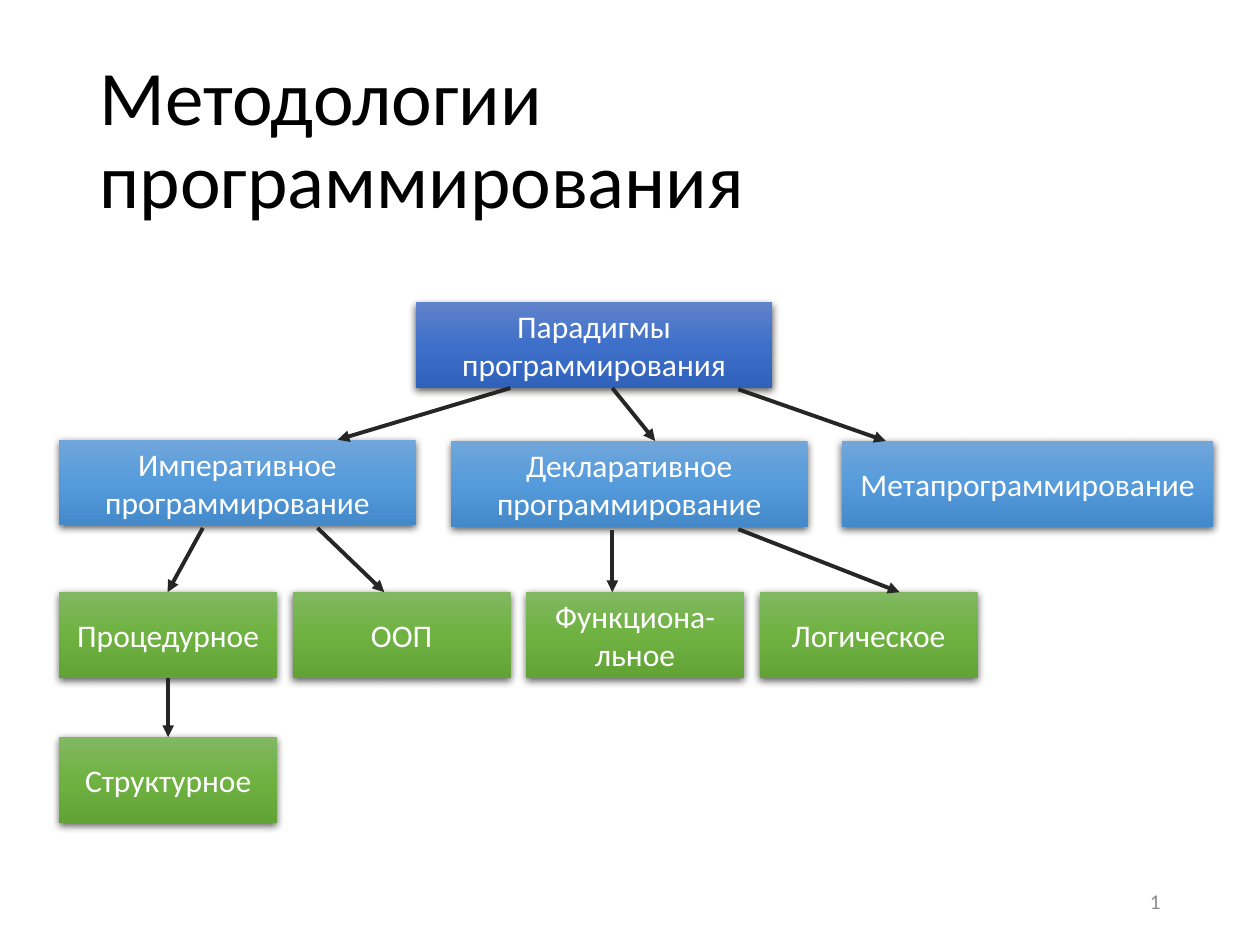
from pptx import Presentation
from pptx.dml.color import RGBColor
from pptx.enum.shapes import MSO_CONNECTOR, MSO_SHAPE
from pptx.enum.text import MSO_ANCHOR, MSO_AUTO_SIZE, PP_ALIGN
from pptx.oxml import parse_xml
from pptx.oxml.ns import nsdecls
from pptx.util import Inches, Pt

RECTANGLE = MSO_SHAPE.RECTANGLE
STRAIGHT = MSO_CONNECTOR.STRAIGHT
MIDDLE = MSO_ANCHOR.MIDDLE
LEFT, CENTER, RIGHT = PP_ALIGN.LEFT, PP_ALIGN.CENTER, PP_ALIGN.RIGHT
TOP_SITE, BOTTOM_SITE = 0, 2

FONT = "Calibri"
TITLE = "Методологии программирования"
SLIDE_NUMBER = "1"

BLUE = ("6183CB", "3E70CA", "3062BB")
SKY = ("71A6DB", "559BDB", "448ACA")
GREEN = ("81B861", "6FB242", "62A336")

BOX_HEIGHT = 0.68
WIDE, NARROW = 2.83, 1.73
MARGIN, LEAF_STEP = 0.47, 1.853
LEAF_TOP = 4.7

PARADIGMS = [
    ("root", "Парадигмы программирования", 3.3, 2.4, WIDE, BLUE),
    ("imperative", "Императивное программирование", MARGIN, 3.49, WIDE, SKY),
    ("declarative", "Декларативное программирование", 3.58, 3.5, WIDE, SKY),
    ("meta", "Метапрограммирование", 6.68, 3.5, 2.95, SKY),
    ("structured", "Структурное", MARGIN, 5.85, NARROW, GREEN),
]
LEAVES = [
    ("procedural", "Процедурное"),
    ("object", "ООП"),
    ("functional", "Функциона-льное"),
    ("logic", "Логическое"),
]
PARADIGMS += [
    (key, text, MARGIN + column * LEAF_STEP, LEAF_TOP, NARROW, GREEN)
    for column, (key, text) in enumerate(LEAVES)
]

# (parent, child, start x, end x, gap below parent)
LINKS = [
    ("root", "imperative", 4.05, 2.68, 0),
    ("root", "declarative", 4.86, 5.2, 0),
    ("root", "meta", 5.86, 7.03, 0.01),
    ("imperative", "procedural", 1.61, 1.33, 0.02),
    ("imperative", "object", 2.52, 3.05, 0.02),
    ("declarative", "functional", 4.86, 4.86, 0.03),
    ("declarative", "logic", 5.86, 7.14, 0.02),
]
LINKS_BETWEEN_MIDDLES = [("procedural", "structured")]


def rgb(color):
    """Turn a hex string into a colour."""
    return RGBColor.from_string(color)


def write(shape, text, size, color, alignment):
    """Put one formatted paragraph into a shape."""
    frame = shape.text_frame
    frame.text = text
    frame.word_wrap = True
    frame.auto_size = MSO_AUTO_SIZE.NONE
    frame.vertical_anchor = MIDDLE
    paragraph = frame.paragraphs[0]
    paragraph.alignment = alignment
    font = paragraph.runs[0].font
    font.name, font.size = FONT, Pt(size)
    font.color.rgb = rgb(color)
    return paragraph


def add_box(slide, text, left, top, width, colors):
    """Add a gradient rectangle with a soft shadow."""
    shape = slide.shapes.add_shape(
        RECTANGLE, Inches(left), Inches(top), Inches(width), Inches(BOX_HEIGHT))
    shape.line.fill.background()
    stops = "".join(
        f'<a:gs pos="{index * 50000}"><a:srgbClr val="{color}"/></a:gs>'
        for index, color in enumerate(colors))
    properties = shape.element.spPr
    properties.insert(2, parse_xml(
        f'<a:gradFill {nsdecls("a")} rotWithShape="1"><a:gsLst>{stops}</a:gsLst>'
        '<a:lin ang="5400000" scaled="0"/></a:gradFill>'))
    properties.append(parse_xml(
        f'<a:effectLst {nsdecls("a")}><a:outerShdw blurRad="{Pt(4.5)}" '
        f'dist="{Pt(1.5)}" dir="5400000" algn="ctr" rotWithShape="0">'
        '<a:srgbClr val="000000"><a:alpha val="63000"/></a:srgbClr>'
        '</a:outerShdw></a:effectLst>'))
    write(shape, text, 18, "FFFFFF", CENTER)
    return shape


def add_arrow(slide, start_x, start_y, end_x, end_y):
    """Add a dark arrow between two points."""
    arrow = slide.shapes.add_connector(STRAIGHT, start_x, start_y, end_x, end_y)
    arrow.line.color.rgb = rgb("262626")
    arrow.line.width = Pt(2.25)
    arrow.line._get_or_add_ln().append(
        parse_xml(f'<a:tailEnd {nsdecls("a")} type="triangle"/>'))
    arrow.element.spPr.append(parse_xml(f'<a:effectLst {nsdecls("a")}/>'))
    return arrow


def main():
    """Build the slide of programming paradigms."""
    presentation = Presentation()
    presentation.slide_width, presentation.slide_height = Inches(10), Inches(7.5)
    slide = presentation.slides.add_slide(presentation.slide_layouts[5])

    title = slide.shapes.title
    title.left, title.top = Inches(0.69), Inches(0.4)
    title.width, title.height = Inches(8.62), Inches(1.45)
    write(title, TITLE, 44, "000000", LEFT).line_spacing = 0.9

    number = slide.shapes.add_textbox(
        Inches(7.06), Inches(6.95), Inches(2.25), Inches(0.4))
    write(number, SLIDE_NUMBER, 12, "8C8C8C", RIGHT)

    boxes = {key: add_box(slide, *box) for key, *box in PARADIGMS}
    for parent, child, start_x, end_x, gap in LINKS:
        bottom = boxes[parent].top + boxes[parent].height
        add_arrow(slide, Inches(start_x), bottom + Inches(gap),
                  Inches(end_x), boxes[child].top)
    for parent, child in LINKS_BETWEEN_MIDDLES:
        arrow = add_arrow(slide, 0, 0, 0, 0)
        arrow.begin_connect(boxes[parent], BOTTOM_SITE)
        arrow.end_connect(boxes[child], TOP_SITE)

    presentation.save("out.pptx")


if __name__ == "__main__":
    main()
